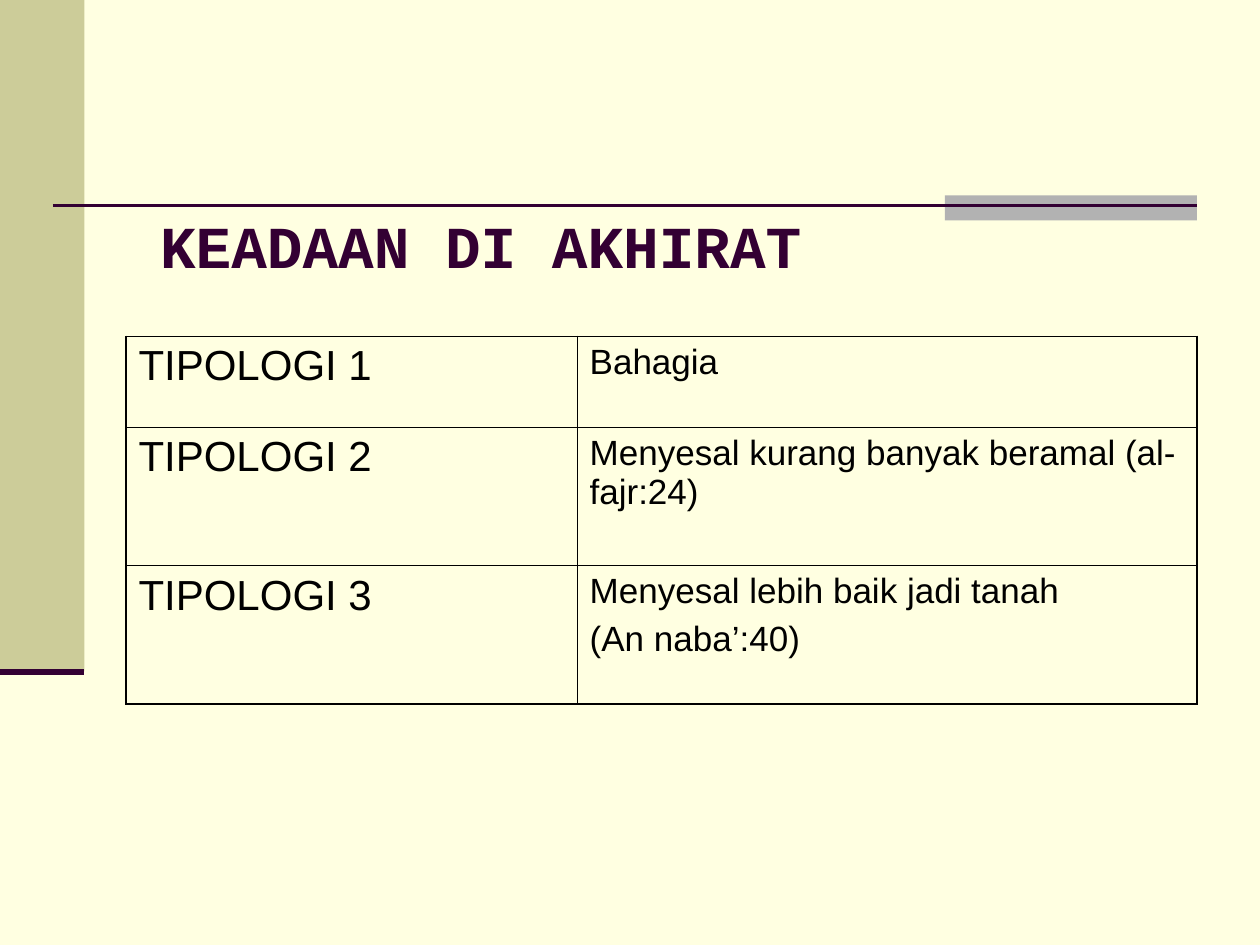
from dataclasses import dataclass

from lxml import etree
from pptx import Presentation
from pptx.dml.color import RGBColor
from pptx.enum.shapes import MSO_CONNECTOR, MSO_SHAPE
from pptx.enum.text import MSO_ANCHOR, MSO_AUTO_SIZE, PP_ALIGN
from pptx.oxml.ns import qn
from pptx.slide import Slide
from pptx.table import _Cell
from pptx.text.text import _Paragraph
from pptx.util import Inches, Pt

RECTANGLE = MSO_SHAPE.RECTANGLE
STRAIGHT = MSO_CONNECTOR.STRAIGHT
MIDDLE = MSO_ANCHOR.MIDDLE
LEFT = PP_ALIGN.LEFT
NO_AUTOFIT = MSO_AUTO_SIZE.NONE
TITLE_ONLY = 5


@dataclass(frozen=True)
class Theme:
    page: str = "FFFFE1"
    sidebar: str = "CCCC99"
    accent: str = "B2B2B2"
    plum: str = "330033"
    ink: str = "000000"
    title_font: str = "Courier New"
    body_font: str = "Arial"
    title_size: float = 34
    label_size: float = 24
    detail_size: float = 20
    outer_border: float = 1.08
    inner_border: float = 0.45


@dataclass(frozen=True)
class Panel:
    left: float
    top: float
    width: float
    height: float
    color: str


@dataclass(frozen=True)
class Rule:
    left: float
    right: float
    top: float
    weight: float


@dataclass(frozen=True)
class Typology:
    label: str
    details: tuple[str, ...]
    height: float


THEME = Theme()
PANELS = (
    Panel(0, 0, 0.67, 5.33, THEME.sidebar),
    Panel(7.5, 1.55, 2, 0.2, THEME.accent),
)
RULES = (Rule(0.42, 9.5, 1.63, 1.5), Rule(0, 0.67, 5.33, 3.5))
COLUMN_WIDTHS = (3.58, 4.92)
TYPOLOGIES = (
    Typology("TIPOLOGI 1", ("Bahagia",), 0.72),
    Typology("TIPOLOGI 2", ("Menyesal kurang banyak beramal (al-fajr:24)",), 1.1),
    Typology("TIPOLOGI 3", ("Menyesal lebih baik jadi tanah", "(An naba’:40)"), 1.1),
)


def draw_panel(page: Slide, panel: Panel) -> None:
    box = page.shapes.add_shape(
        RECTANGLE, Inches(panel.left), Inches(panel.top),
        Inches(panel.width), Inches(panel.height),
    )
    box.shadow.inherit = False
    box.fill.solid()
    box.fill.fore_color.rgb = RGBColor.from_string(panel.color)
    box.line.fill.background()


def draw_rule(page: Slide, rule: Rule) -> None:
    line = page.shapes.add_connector(
        STRAIGHT, Inches(rule.left), Inches(rule.top),
        Inches(rule.right), Inches(rule.top),
    )
    line.line.color.rgb = RGBColor.from_string(THEME.plum)
    line.line.width = Pt(rule.weight)
    etree.SubElement(line._element.spPr, qn("a:effectLst"))


def add_text(para: _Paragraph, text: str, font: str, size: float, color: str, bold: bool = False) -> None:
    para.alignment = LEFT
    span = para.add_run()
    span.text = text
    span.font.name = font
    span.font.size = Pt(size)
    span.font.bold = bold
    span.font.color.rgb = RGBColor.from_string(color)


def draw_title(page: Slide, text: str) -> None:
    title = page.shapes.title
    title.left, title.top = Inches(1.17), Inches(1.58)
    title.width, title.height = Inches(8.02), Inches(0.73)
    frame = title.text_frame
    frame.auto_size = NO_AUTOFIT
    frame.word_wrap = True
    frame.vertical_anchor = MIDDLE
    add_text(frame.paragraphs[0], text, THEME.title_font, THEME.title_size, THEME.plum, True)


def set_border(cell: _Cell, side: str, weight: float) -> None:
    properties = cell._tc.get_or_add_tcPr()
    border = etree.SubElement(properties, qn(f"a:ln{side}"), w=str(Pt(weight)))
    fill = etree.SubElement(border, qn("a:solidFill"))
    etree.SubElement(fill, qn("a:srgbClr"), val=THEME.ink)


def fill_cell(cell: _Cell, lines: tuple[str, ...], size: float) -> None:
    frame = cell.text_frame
    for index, text in enumerate(lines):
        para = frame.add_paragraph() if index else frame.paragraphs[0]
        if index:
            para.space_before = Pt(5)
        add_text(para, text, THEME.body_font, size, THEME.ink)


def draw_table(page: Slide) -> None:
    row_count, column_count = len(TYPOLOGIES), len(COLUMN_WIDTHS)
    table = page.shapes.add_table(
        row_count, column_count, Inches(1), Inches(2.67),
        Inches(sum(COLUMN_WIDTHS)), Inches(sum(item.height for item in TYPOLOGIES)),
    ).table
    table.first_row = False
    table.horz_banding = False
    for column, width in zip(table.columns, COLUMN_WIDTHS):
        column.width = Inches(width)
    for row_index, item in enumerate(TYPOLOGIES):
        table.rows[row_index].height = Inches(item.height)
        contents = (((item.label,), THEME.label_size), (item.details, THEME.detail_size))
        for column_index, (lines, size) in enumerate(contents):
            cell = table.cell(row_index, column_index)
            fill_cell(cell, lines, size)
            edges = {
                "L": column_index == 0,
                "R": column_index == column_count - 1,
                "T": row_index == 0,
                "B": row_index == row_count - 1,
            }
            for side, is_outer in edges.items():
                set_border(cell, side, THEME.outer_border if is_outer else THEME.inner_border)
            cell.fill.background()


def main() -> None:
    deck = Presentation()
    deck.slide_width, deck.slide_height = Inches(10), Inches(7.5)
    page = deck.slides.add_slide(deck.slide_layouts[TITLE_ONLY])
    page.background.fill.solid()
    page.background.fill.fore_color.rgb = RGBColor.from_string(THEME.page)
    for panel in PANELS:
        draw_panel(page, panel)
    for rule in RULES:
        draw_rule(page, rule)
    draw_title(page, "KEADAAN DI AKHIRAT")
    draw_table(page)
    deck.save("out.pptx")


if __name__ == "__main__":
    main()
